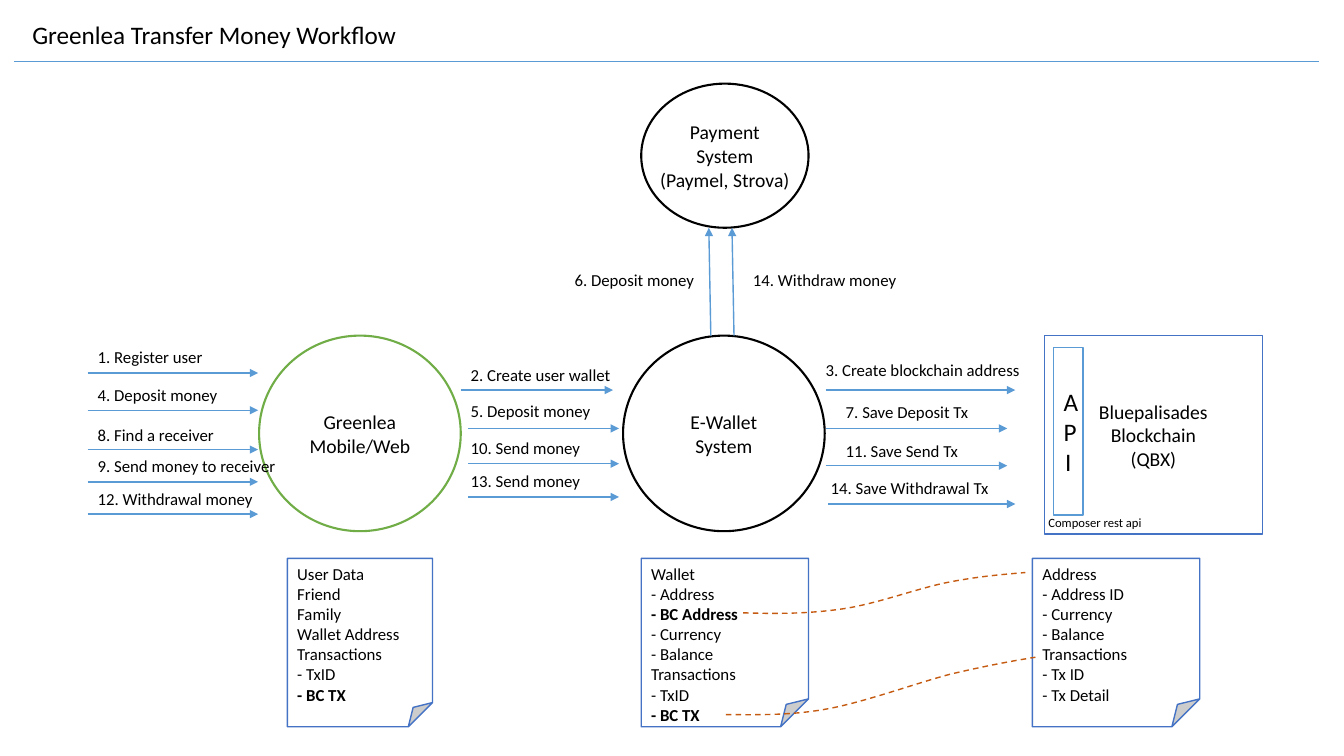
from lxml import etree
from pptx import Presentation
from pptx.dml.color import RGBColor
from pptx.enum.dml import MSO_LINE_DASH_STYLE as Dash
from pptx.enum.shapes import MSO_CONNECTOR, MSO_SHAPE as Shape
from pptx.enum.text import MSO_ANCHOR as Anchor, PP_ALIGN as Align
from pptx.oxml.ns import qn
from pptx.util import Inches, Pt

BLACK = RGBColor(0x00, 0x00, 0x00)
WHITE = RGBColor(0xFF, 0xFF, 0xFF)
GREEN = RGBColor(0x70, 0xAD, 0x47)
BLUE = RGBColor(0x44, 0x72, 0xC4)
LIGHT_BLUE = RGBColor(0x5B, 0x9B, 0xD5)
ORANGE = RGBColor(0xC5, 0x5A, 0x11)

presentation = Presentation()
presentation.slide_width = Inches(13.33)
presentation.slide_height = Inches(7.5)
slide = presentation.slides.add_slide(presentation.slide_layouts[5])
shapes = slide.shapes


def write_lines(shape, lines, size, align=Align.LEFT, anchor=Anchor.TOP, wrap=True):
    """Fill a shape with one paragraph per line; lines naming BC are bold."""
    frame = shape.text_frame
    frame.word_wrap = wrap
    frame.vertical_anchor = anchor
    for index, line in enumerate(lines):
        paragraph = frame.paragraphs[0] if index == 0 else frame.add_paragraph()
        paragraph.alignment = align
        run = paragraph.add_run()
        run.text = line
        run.font.name = "Calibri"
        run.font.size = Pt(size)
        run.font.bold = line.startswith("- BC")
        run.font.color.rgb = BLACK


def add_line(start_x, start_y, end_x, end_y, arrow=True):
    line = shapes.add_connector(MSO_CONNECTOR.STRAIGHT, Inches(start_x), Inches(start_y),
                                Inches(end_x), Inches(end_y))
    line.line.color.rgb = LIGHT_BLUE
    line.line.width = Pt(1)
    if arrow:
        etree.SubElement(line.line._get_or_add_ln(), qn("a:tailEnd"), type="triangle")
    etree.SubElement(line._element.spPr, qn("a:effectLst"))


# Title
title = shapes.title
title.left, title.top, title.width, title.height = map(Inches, (0.22, 0.14, 6, 0.4))
write_lines(title, ["Greenlea Transfer Money Workflow"], 18, anchor=Anchor.MIDDLE)
add_line(0.14, 0.61, 13.08, 0.61, arrow=False)

# Systems and data notes: kind, place, line colour, line width, text size, lines
boxes = [
    (Shape.OVAL, (2.57, 3.33, 2, 1.94), GREEN, 1.5, 14, ["Greenlea", "Mobile/Web"]),
    (Shape.OVAL, (6.18, 3.33, 2, 1.94), BLACK, 1.5, 14, ["E-Wallet", "System"]),
    (Shape.OVAL, (6.36, 0.83, 1.66, 1.43), BLACK, 1.5, 14,
     ["Payment", "System", "(Paymel, Strova)"]),
    (Shape.RECTANGLE, (10.36, 3.33, 2.16, 1.97), BLUE, 1, 14,
     ["Bluepalisades", "Blockchain", "(QBX)"]),
    (Shape.RECTANGLE, (10.45, 3.45, 0.29, 1.66), LIGHT_BLUE, 1, 18, ["A", "P", "I"]),
    (Shape.FOLDED_CORNER, (2.85, 5.54, 1.44, 1.67), BLUE, 1, 12,
     ["User Data", "Friend", "Family", "Wallet Address", "Transactions", "- TxID", "- BC TX"]),
    (Shape.FOLDED_CORNER, (6.36, 5.54, 1.66, 1.67), BLUE, 1, 12,
     ["Wallet", "- Address", "- BC Address", "- Currency", "- Balance", "Transactions",
      "- TxID", "- BC TX"]),
    (Shape.FOLDED_CORNER, (10.24, 5.54, 1.66, 1.67), BLUE, 1, 12,
     ["Address", "- Address ID", "- Currency", "- Balance", "Transactions", "- Tx ID",
      "- Tx Detail"]),
]
for kind, place, color, line_width, size, lines in boxes:
    box = shapes.add_shape(kind, *map(Inches, place))
    box.shadow.inherit = False
    box.fill.solid()
    box.fill.fore_color.rgb = WHITE
    box.line.color.rgb = color
    box.line.width = Pt(line_width)
    if kind == Shape.FOLDED_CORNER:
        write_lines(box, lines, size)
    else:
        write_lines(box, lines, size, Align.CENTER, Anchor.MIDDLE, wrap=kind != Shape.OVAL)

# Arrows: start x, start y, end x, end y
user_flows = [(0.87, y, 2.56, y) for y in (3.7, 4.07, 4.46, 4.78, 5.1)]
wallet_flows = [(4.57, 3.87, 6.08, 3.87)] + [(4.64, y, 6.14, y) for y in (4.25, 4.6, 4.93)]
chain_flows = [(8.19, 3.87, 10.07, 3.87), (8.19, 4.25, 9.99, 4.25),
               (8.19, 4.62, 9.99, 4.62), (8.21, 5, 10.07, 5)]
payment_flows = [(7.05, 3.33, 7.03, 2.26), (7.28, 3.33, 7.26, 2.26)]
for flow in user_flows + wallet_flows + chain_flows + payment_flows:
    add_line(*flow)

# Labels: text, left, top, text size
labels = [
    ("1. Register user", 0.87, 3.39, 12),
    ("4. Deposit money", 0.87, 3.77, 12),
    ("8. Find a receiver", 0.87, 4.16, 12),
    ("9. Send money to receiver", 0.87, 4.47, 12),
    ("12. Withdrawal money", 0.87, 4.8, 12),
    ("2. Create user wallet", 4.57, 3.57, 12),
    ("5. Deposit money", 4.57, 3.93, 12),
    ("10. Send money", 4.57, 4.29, 12),
    ("13. Send money", 4.57, 4.62, 12),
    ("3. Create blockchain address", 8.09, 3.52, 12),
    ("7. Save Deposit Tx", 8.29, 3.94, 12),
    ("11. Save Send Tx", 8.29, 4.32, 12),
    ("14. Save Withdrawal Tx", 8.14, 4.69, 12),
    ("6. Deposit money", 5.6, 2.63, 12),
    ("14. Withdraw money", 7.37, 2.63, 12),
    ("Composer rest api", 10.3, 5.06, 9),
]
for text, left, top, size in labels:
    label = shapes.add_textbox(Inches(left), Inches(top), Inches(2.34), Inches(0.3))
    write_lines(label, [text], size)

# Dashed links between the wallet and the blockchain: start point, then Bézier points
links = [
    [(7.37, 6.08), (7.7, 6.09), (8.02, 6.09), (8.36, 6.04), (8.7, 5.99), (9.09, 5.84),
     (9.39, 5.78), (9.69, 5.72), (9.93, 5.7), (10.17, 5.68)],
    [(7.2, 7.09), (7.52, 7.09), (7.85, 7.1), (8.22, 7.03), (8.59, 6.96), (9.08, 6.78),
     (9.42, 6.69), (9.76, 6.61), (10.02, 6.56), (10.27, 6.52)],
]
for link in links:
    points = [(Inches(x), Inches(y)) for x, y in link]
    builder = shapes.build_freeform(*points[0])
    builder.add_line_segments(points[1:], close=False)
    curve = builder.convert_to_shape()
    curve.shadow.inherit = False
    curve.fill.background()
    curve.line.color.rgb = ORANGE
    curve.line.width = Pt(1)
    curve.line.dash_style = Dash.DASH
    # Join every three line segments into one Bézier segment
    outline = next(curve._element.iter(qn("a:path")))
    segments = outline.findall(qn("a:lnTo"))
    for first in range(0, len(segments), 3):
        bezier = etree.SubElement(outline, qn("a:cubicBezTo"))
        for segment in segments[first:first + 3]:
            bezier.append(segment[0])
            outline.remove(segment)

presentation.save("out.pptx")
